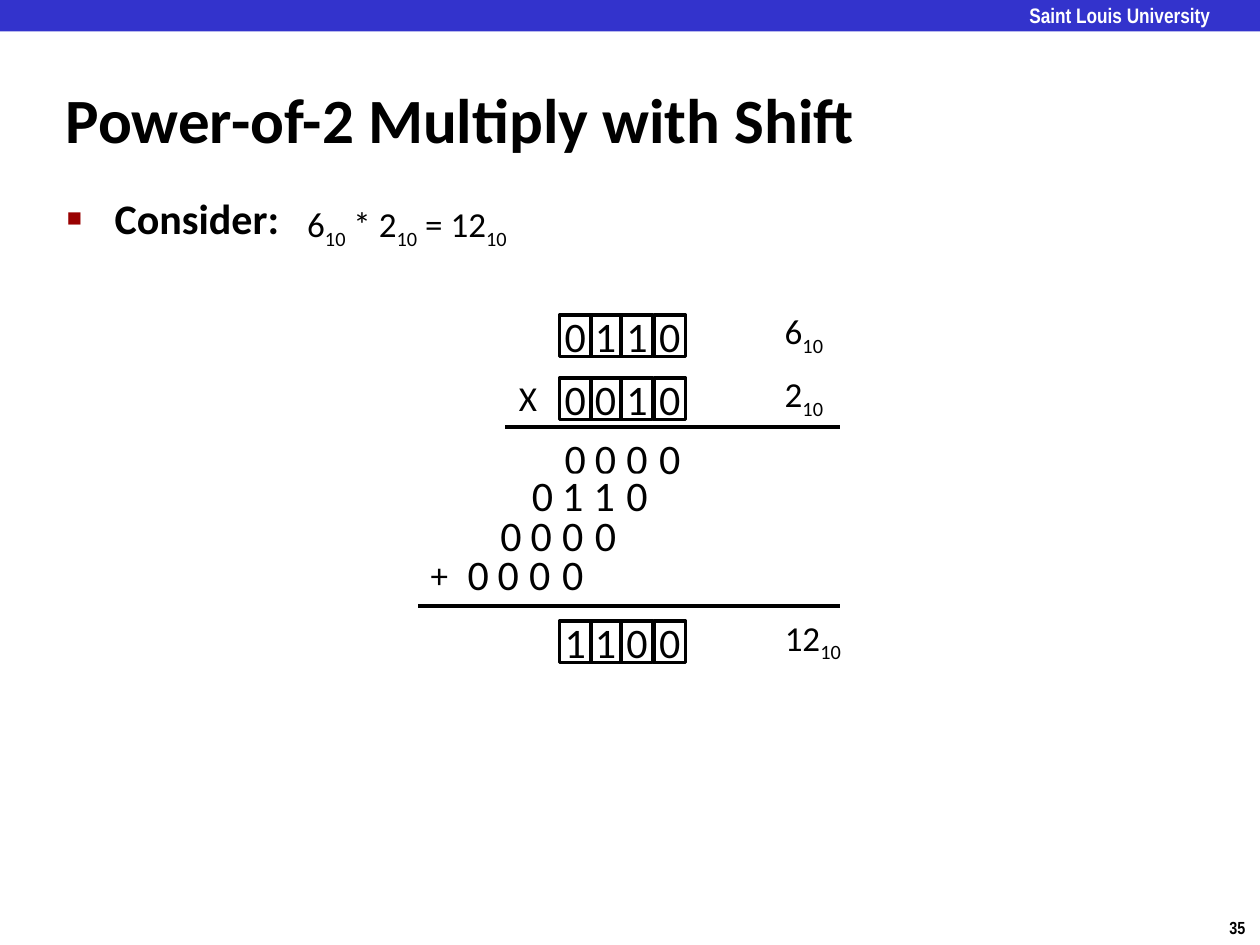
from dataclasses import dataclass

from lxml import etree
from pptx import Presentation
from pptx.dml.color import RGBColor
from pptx.enum.shapes import MSO_CONNECTOR, MSO_SHAPE
from pptx.enum.text import MSO_ANCHOR, MSO_AUTO_SIZE, PP_ALIGN
from pptx.oxml.ns import qn
from pptx.util import Inches, Pt

RECTANGLE = MSO_SHAPE.RECTANGLE
STRAIGHT = MSO_CONNECTOR.STRAIGHT
MIDDLE = MSO_ANCHOR.MIDDLE
NO_AUTOFIT = MSO_AUTO_SIZE.NONE
LEFT, CENTER = PP_ALIGN.LEFT, PP_ALIGN.CENTER


@dataclass(frozen=True)
class Theme:
    black: RGBColor = RGBColor(0x00, 0x00, 0x00)
    white: RGBColor = RGBColor(0xFF, 0xFF, 0xFF)
    banner: RGBColor = RGBColor(0x33, 0x33, 0xCC)
    bullet: str = "990000"
    font: str = "Calibri"
    narrow_font: str = "Arial Narrow"
    title: int = 36
    body: int = 24
    digit: int = 24
    label: int = 20
    banner_text: int = 12
    page_number: int = 10
    rule: int = 2


theme = Theme()


def style(paragraph, size, color=theme.black, bold=False, font=theme.font):
    for run in paragraph.runs:
        run.font.name = font
        run.font.size = Pt(size)
        run.font.bold = bold
        run.font.color.rgb = color


def add_label(shapes, left, top, width, parts, height=0.44):
    """Add one line of text; every second part is a subscript."""
    box = shapes.add_textbox(Inches(left), Inches(top), Inches(width), Inches(height))
    box.text_frame.word_wrap = False
    paragraph = box.text_frame.paragraphs[0]
    for index, part in enumerate(parts):
        run = paragraph.add_run()
        run.text = part
        if index % 2:
            run._r.get_or_add_rPr().set("baseline", "-25000")
    style(paragraph, theme.label)
    return paragraph


presentation = Presentation()
presentation.slide_width = Inches(10)
presentation.slide_height = Inches(7.5)
slide = presentation.slides.add_slide(presentation.slide_layouts[1])

# Page number and banner
page_number = add_label(slide.shapes, 9.66, 7.23, 0.34, ["35"], height=0.27)
style(page_number, theme.page_number, bold=True, font=theme.narrow_font)

banner = slide.shapes.add_shape(RECTANGLE, 0, 0, Inches(10.01), Inches(0.25))
banner.shadow.inherit = False
banner.fill.solid()
banner.fill.fore_color.rgb = theme.banner
banner.line.fill.background()

university = slide.shapes.add_textbox(Inches(8.17), Inches(0.02), Inches(1.67), Inches(0.19))
frame = university.text_frame
frame.margin_left = frame.margin_right = frame.margin_top = frame.margin_bottom = 0
frame.word_wrap = True
frame.text = "Saint Louis University"
style(frame.paragraphs[0], theme.banner_text, theme.white, True, theme.narrow_font)

# Title and bullet
title = slide.shapes.title
title.left, title.top, title.width, title.height = map(Inches, (0.42, 0.62, 8.09, 0.63))
title.text_frame.text = "Power-of-2 Multiply with Shift"
title.text_frame.auto_size = NO_AUTOFIT
title.text_frame.vertical_anchor = MIDDLE
title.text_frame.paragraphs[0].alignment = LEFT
style(title.text_frame.paragraphs[0], theme.title, bold=True)

body = slide.placeholders[1]
body.left, body.top, body.width, body.height = map(Inches, (0.43, 1.48, 8.64, 5.44))
body.text_frame.text = "Consider:"
body.text_frame.auto_size = NO_AUTOFIT
paragraph = body.text_frame.paragraphs[0]
properties = paragraph._p.get_or_add_pPr()
properties.set("marL", str(Inches(0.38)))
properties.set("indent", str(-Inches(0.38)))
bullet_color = etree.SubElement(properties, qn("a:buClr"))
etree.SubElement(bullet_color, qn("a:srgbClr"), val=theme.bullet)
etree.SubElement(properties, qn("a:buSzPct"), val="60000")
etree.SubElement(properties, qn("a:buChar"), char="■")
paragraph.space_before = Pt(0)
style(paragraph, theme.body, bold=True)

add_label(slide.shapes, 2.34, 1.56, 1.87, ["6", "10", " * 2", "10", " = 12", "10"])

# Binary numbers: digits, left, top, decimal value (boxed when there is one)
CELL_WIDTH, CELL_HEIGHT = 0.25, 0.33
COLUMN_OFFSETS = [0, 0.24, 0.49, 0.75]
DRAWING_ORDER = [1, 2, 3, 0]  # the leftmost cell lies on top
binary_rows = [
    ("0110", 4.44, 2.50, "6"),
    ("0010", 4.44, 3.00, "2"),
    ("0000", 4.44, 3.47, None),
    ("0000", 3.93, 4.08, None),
    ("0110", 4.18, 3.76, None),
    ("0000", 3.67, 4.39, None),
    ("1100", 4.44, 4.93, "12"),
]
for digits, left, top, decimal in binary_rows:
    row = slide.shapes.add_group_shape()
    for column in DRAWING_ORDER:
        cell = row.shapes.add_shape(
            RECTANGLE, Inches(left + COLUMN_OFFSETS[column]), Inches(top),
            Inches(CELL_WIDTH), Inches(CELL_HEIGHT))
        cell.shadow.inherit = False
        cell.fill.solid()
        cell.fill.fore_color.rgb = theme.white
        if decimal:
            cell.line.color.rgb = theme.black
            cell.line.width = Pt(theme.rule)
        else:
            cell.line.fill.background()
        frame = cell.text_frame
        frame.word_wrap = False
        frame.vertical_anchor = MIDDLE
        frame.text = digits[column]
        frame.paragraphs[0].alignment = CENTER
        style(frame.paragraphs[0], theme.digit)
    if decimal:
        width = 0.38 + 0.15 * len(decimal)
        add_label(row.shapes, 6.13, top - 0.09, width, [decimal, "10"])

# Operators, and rules above the partial products and the result
for operator, left, top in [("X", 4.02, 2.94), ("+", 3.32, 4.34)]:
    add_label(slide.shapes, left, top, 0.35, [operator])
for left, top in [(4.01, 3.39), (3.32, 4.81)]:
    rule = slide.shapes.add_connector(
        STRAIGHT, Inches(left), Inches(top), Inches(6.67), Inches(top))
    rule.line.color.rgb = theme.black
    rule.line.width = Pt(theme.rule)
    etree.SubElement(rule._element.spPr, qn("a:effectLst"))

presentation.save("out.pptx")
